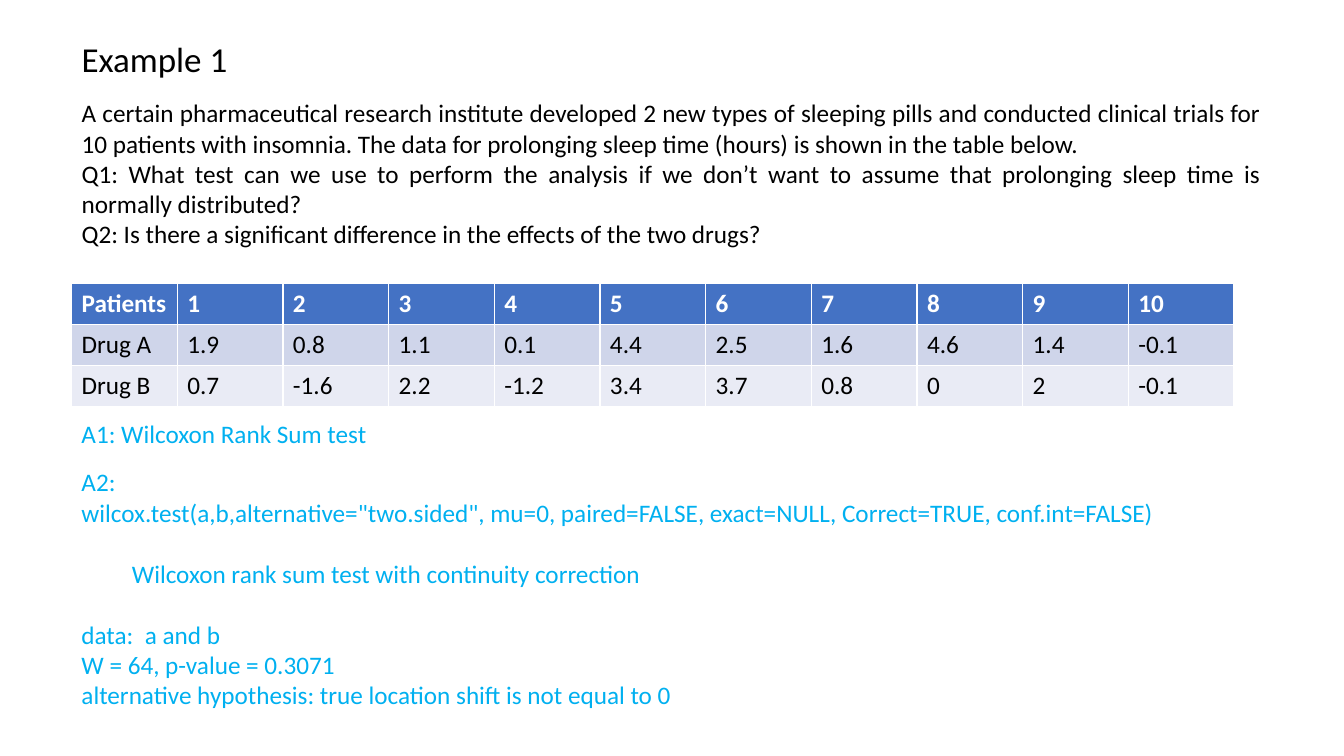
from lxml import etree
from pptx import Presentation
from pptx.dml.color import RGBColor
from pptx.enum.text import MSO_ANCHOR, MSO_AUTO_SIZE, PP_ALIGN
from pptx.oxml.ns import qn
from pptx.util import Inches, Pt

LEFT, JUSTIFY = PP_ALIGN.LEFT, PP_ALIGN.JUSTIFY
TOP = MSO_ANCHOR.TOP
NO_AUTOFIT = MSO_AUTO_SIZE.NONE
BLACK = RGBColor(0x00, 0x00, 0x00)
WHITE = RGBColor(0xFF, 0xFF, 0xFF)
ANSWER_BLUE = RGBColor(0x00, 0xB0, 0xF0)
HEADER_BLUE = RGBColor(0x44, 0x72, 0xC4)
BAND_DARK = RGBColor(0xCF, 0xD5, 0xEA)
BAND_LIGHT = RGBColor(0xE9, 0xEB, 0xF5)
FONT = "Calibri"
TEXT_SIZE = Pt(18)
BLANK_LINE = Pt(22)
MARGIN = Inches(0.71)


def format_span(span, size, colour, bold=False):
    span.font.name = FONT
    span.font.size = size
    span.font.bold = bold
    span.font.color.rgb = colour


def write_text(box, top, width, height, lines, size, colour, align=LEFT):
    """Place the box at the left margin and give it one plain paragraph per line."""
    box.left, box.top = MARGIN, Inches(top)
    box.width, box.height = Inches(width), Inches(height)
    frame = box.text_frame
    frame.text = "\n".join(lines)
    frame.word_wrap = True
    frame.auto_size = NO_AUTOFIT
    frame.vertical_anchor = TOP
    for para in frame.paragraphs:
        para.alignment = align
        para.space_before = Pt(0)
        properties = para._p.get_or_add_pPr()
        properties.set("marL", "0")
        properties.set("indent", "0")
        etree.SubElement(properties, qn("a:buNone"))
        for span in para.runs:
            format_span(span, size, colour)


deck = Presentation()
deck.slide_width, deck.slide_height = Inches(13.33), Inches(7.5)
page = deck.slides.add_slide(deck.slide_layouts[1])

# Question
write_text(page.placeholders[1], 0.92, 11.9, 1.62, [
    "A certain pharmaceutical research institute developed 2 new types of sleeping pills "
    "and conducted clinical trials for 10 patients with insomnia. "
    "The data for prolonging sleep time (hours) is shown in the table below.",
    "Q1: What test can we use to perform the analysis if we don’t want to assume "
    "that prolonging sleep time is normally distributed?",
    "Q2: Is there a significant difference in the effects of the two drugs?",
], TEXT_SIZE, BLACK, JUSTIFY)
write_text(page.shapes.title, 0.32, 2.36, 0.52, ["Example 1"], Pt(25), BLACK)

# Sleep data
sleep_rows = [
    ["Patients", *range(1, 11)],
    ["Drug A", 1.9, 0.8, 1.1, 0.1, 4.4, 2.5, 1.6, 4.6, 1.4, -0.1],
    ["Drug B", 0.7, -1.6, 2.2, -1.2, 3.4, 3.7, 0.8, 0, 2, -0.1],
]
row_styles = [(HEADER_BLUE, WHITE, True), (BAND_DARK, BLACK, False), (BAND_LIGHT, BLACK, False)]
row_count, column_count = len(sleep_rows), len(sleep_rows[0])
table = page.shapes.add_table(row_count, column_count, MARGIN, Inches(2.81),
                              Inches(11.53), Inches(1.22)).table
for row, values, (fill, colour, bold) in zip(table.rows, sleep_rows, row_styles):
    for cell, value in zip(row.cells, values):
        cell.text = str(value)
        cell.fill.solid()
        cell.fill.fore_color.rgb = fill
        format_span(cell.text_frame.paragraphs[0].runs[0], TEXT_SIZE, colour, bold)

# Answers
first_answer = page.shapes.add_textbox(0, 0, 0, 0)
write_text(first_answer, 4.1, 3.35, 0.4, ["A1: Wilcoxon Rank Sum test"], TEXT_SIZE, ANSWER_BLUE)
second_answer = page.shapes.add_textbox(0, 0, 0, 0)
write_text(second_answer, 4.58, 11.67, 2.52, [
    "A2:",
    'wilcox.test(a,b,alternative="two.sided", mu=0, paired=FALSE, exact=NULL, '
    "Correct=TRUE, conf.int=FALSE)",
    "\tWilcoxon rank sum test with continuity correction",
    "data:  a and b",
    "W = 64, p-value = 0.3071",
    "alternative hypothesis: true location shift is not equal to 0",
], TEXT_SIZE, ANSWER_BLUE)
for para in second_answer.text_frame.paragraphs[2:4]:
    para.space_before = BLANK_LINE

deck.save("out.pptx")
